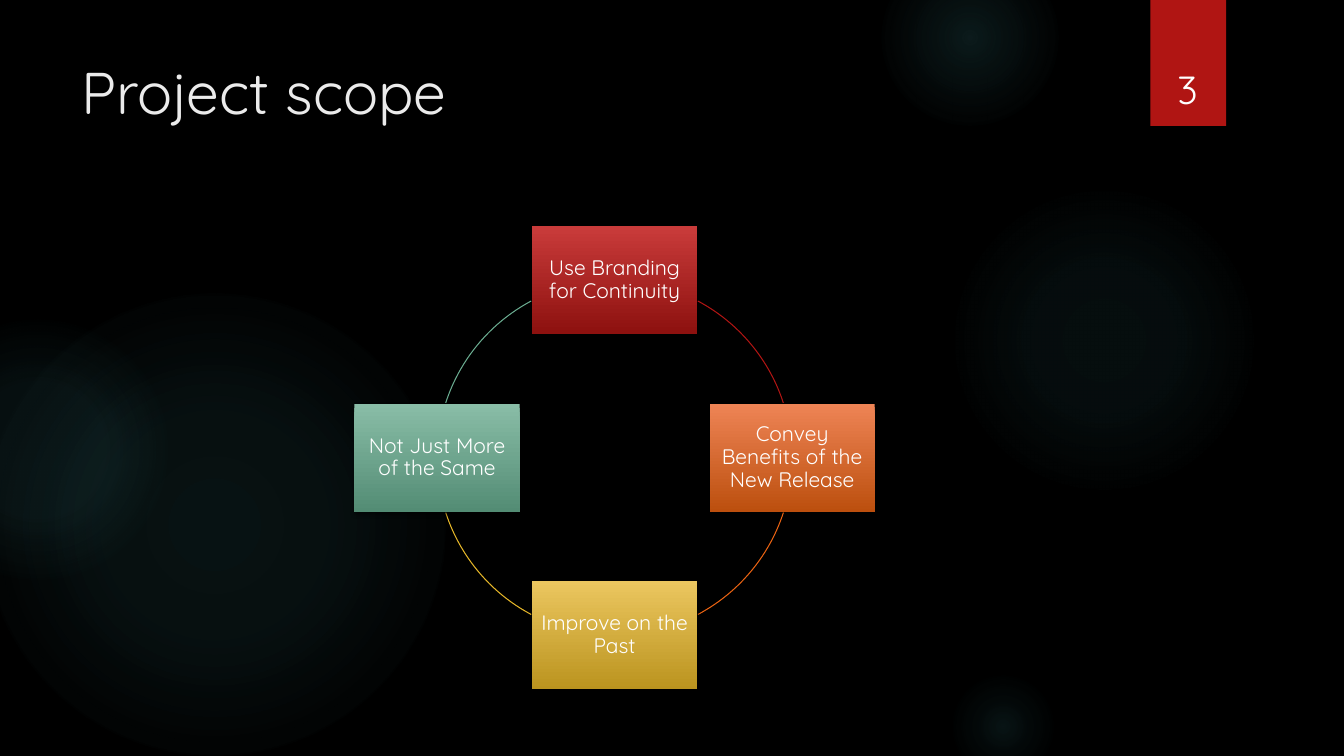
from math import cos, radians, sin

from lxml.etree import SubElement
from pptx import Presentation
from pptx.dml.color import RGBColor
from pptx.enum.shapes import MSO_SHAPE
from pptx.enum.text import MSO_ANCHOR, PP_ALIGN
from pptx.oxml.ns import qn
from pptx.util import Pt

FONT = "Quicksand"
BLACK = RGBColor(0x00, 0x00, 0x00)
WHITE = RGBColor(0xFF, 0xFF, 0xFF)
PALE = RGBColor(0xEB, 0xEB, 0xEB)
TEAL = RGBColor(0x50, 0xB9, 0xC1)
RED = RGBColor(0xB0, 0x15, 0x13)
RED_TOP = RGBColor(0xC9, 0x3B, 0x3A)
RED_LOW = RGBColor(0x8D, 0x11, 0x0F)
ORANGE = RGBColor(0xEA, 0x63, 0x12)
ORANGE_TOP = RGBColor(0xEE, 0x84, 0x55)
ORANGE_LOW = RGBColor(0xBC, 0x4F, 0x0E)
GOLD = RGBColor(0xE6, 0xB7, 0x29)
GOLD_TOP = RGBColor(0xEB, 0xC6, 0x5F)
GOLD_LOW = RGBColor(0xBB, 0x94, 0x1F)
GREEN = RGBColor(0x6A, 0xAC, 0x90)
GREEN_TOP = RGBColor(0x89, 0xBD, 0xA7)
GREEN_LOW = RGBColor(0x53, 0x8C, 0x74)

# Glow box, then (position, opacity) stops in percent
GLOWS = [
    ((-12, 210, 330, 330), [(0, 10), (36, 8), (75, 0)]),
    ((-66, 228, 186, 186), [(0, 8), (36, 8), (72, 0)]),
    ((677.5, 132, 222, 222), [(0, 7), (36, 6), (69, 0)]),
    ((630, -36, 126, 126), [(0, 14), (36, 7), (73, 0)]),
    ((677.5, 480, 78, 78), [(0, 11), (30, 5), (67, 0)]),
]
# Clockwise from the top: text, top and low colour, arc colour
STEPS = [
    ("Use Branding for Continuity", RED_TOP, RED_LOW, RED),
    ("Convey Benefits of the New Release", ORANGE_TOP, ORANGE_LOW, ORANGE),
    ("Improve on the Past", GOLD_TOP, GOLD_LOW, GOLD),
    ("Not Just More of the Same", GREEN_TOP, GREEN_LOW, GREEN),
]
NODE_W, NODE_H = 118, 77


def add_part(slide, kind, box):
    part = slide.shapes.add_shape(kind, *map(Pt, box))
    part.shadow.inherit = False
    part.line.fill.background()
    return part


def put_text(part, text, size, color=WHITE, align=PP_ALIGN.CENTER,
             anchor=MSO_ANCHOR.MIDDLE, inset=None, space=1.0):
    frame = part.text_frame
    frame.word_wrap = True
    frame.vertical_anchor = anchor
    if inset is not None:
        frame.margin_left = frame.margin_right = Pt(inset)
        frame.margin_top = frame.margin_bottom = Pt(inset)
    para = frame.paragraphs[0]
    para.alignment = align
    para.line_spacing = space
    run = para.add_run()
    run.text = text
    run.font.name = FONT
    run.font.size = Pt(size)
    run.font.color.rgb = color


def add_alpha(parent, color, share):
    node = SubElement(parent, qn("a:srgbClr"), val=str(color))
    SubElement(node, qn("a:alpha"), val=str(share * 1000))


def cast_shadow(part):
    effects = part.element.spPr.find(qn("a:effectLst"))
    shade = SubElement(effects, qn("a:outerShdw"), blurRad=str(Pt(3)),
                       dist=str(Pt(2)), dir="5400000", rotWithShape="0")
    add_alpha(shade, BLACK, 45)


def add_glow(slide, box, stops):
    glow = add_part(slide, MSO_SHAPE.OVAL, box)
    glow.fill.background()
    props = glow.element.spPr
    grad = SubElement(props, qn("a:gradFill"), rotWithShape="1")
    props.replace(props.find(qn("a:noFill")), grad)
    items = SubElement(grad, qn("a:gsLst"))
    for place, share in stops:
        stop = SubElement(items, qn("a:gs"), pos=str(place * 1000))
        add_alpha(stop, TEAL, share)
    route = SubElement(grad, qn("a:path"), path="circle")
    SubElement(route, qn("a:fillToRect"), l="50000", t="50000",
               r="50000", b="50000")


def add_title(slide, box):
    title = slide.shapes.add_textbox(*map(Pt, box))
    put_text(title, "Project scope", 42, color=PALE, align=PP_ALIGN.LEFT,
             anchor=MSO_ANCHOR.TOP)


def add_badge(slide, box):
    left, top, width, height = box
    badge = add_part(slide, MSO_SHAPE.RECTANGLE, box)
    badge.fill.solid()
    badge.fill.fore_color.rgb = RED
    cast_shadow(badge)
    # Page number, set a little wider than the badge
    label = slide.shapes.add_textbox(Pt(left - 6.5), Pt(top + 23),
                                     Pt(width + 12), Pt(height - 29.5))
    put_text(label, "3", 28, anchor=MSO_ANCHOR.BOTTOM)


def add_node(slide, box, text, top, low):
    node = add_part(slide, MSO_SHAPE.RECTANGLE, box)
    node.fill.gradient()
    node.fill.gradient_angle = 270
    for stop, color in zip(node.fill.gradient_stops, (top, low)):
        stop.color.rgb = color
    cast_shadow(node)
    put_text(node, text, 15, inset=4.3, space=0.9)


def add_arc(slide, box, start, end, color):
    arc = add_part(slide, MSO_SHAPE.ARC, box)
    arc.fill.background()
    arc.line.color.rgb = color
    arc.line.width = Pt(0.75)
    # Angles are stored in 60000ths of a degree, scaled here by 100000
    for i, angle in enumerate((start, end)):
        arc.adjustments[i] = angle % 360 * 0.6


def add_cycle(slide, box):
    left, top, size, _ = box
    radius = size / 2
    for i, (text, light, dark, line) in enumerate(STEPS):
        turn = 90 * i - 90
        mid_x = left + radius * (1 + cos(radians(turn)))
        mid_y = top + radius * (1 + sin(radians(turn)))
        add_node(slide, (mid_x - NODE_W / 2, mid_y - NODE_H / 2,
                         NODE_W, NODE_H), text, light, dark)
        # Wide nodes at top and bottom hide more of the ring
        skip = 18 if i % 2 else 28
        add_arc(slide, box, turn + skip, turn + skip + 44, line)


deck = Presentation()
deck.slide_width, deck.slide_height = Pt(960), Pt(540)
slide = deck.slides.add_slide(deck.slide_layouts[6])
slide.background.fill.solid()
slide.background.fill.fore_color.rgb = BLACK

for box, stops in GLOWS:
    add_glow(slide, box, stops)
add_badge(slide, (821.75, 0, 54, 90))
add_title(slide, (51, 36, 741, 110))
add_cycle(slide, (312.2, 200.2, 253.6, 253.6))
deck.save("out.pptx")
